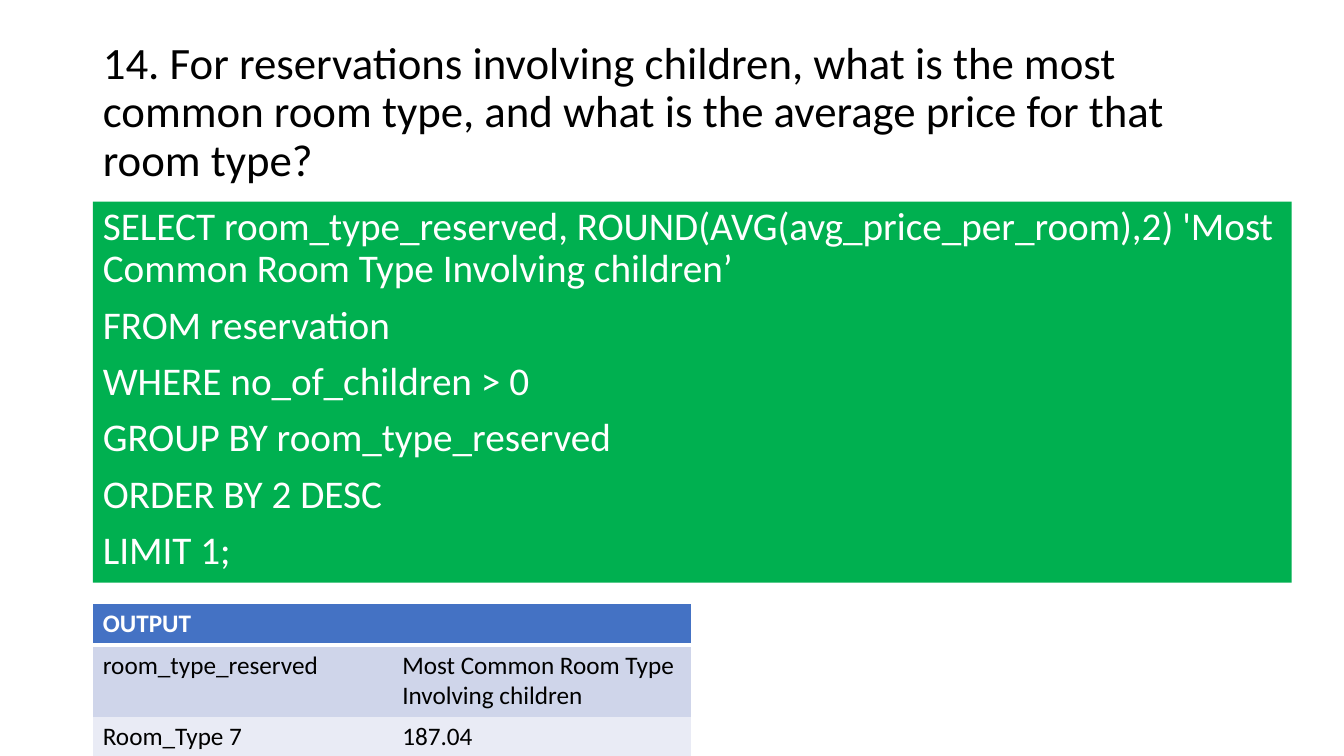
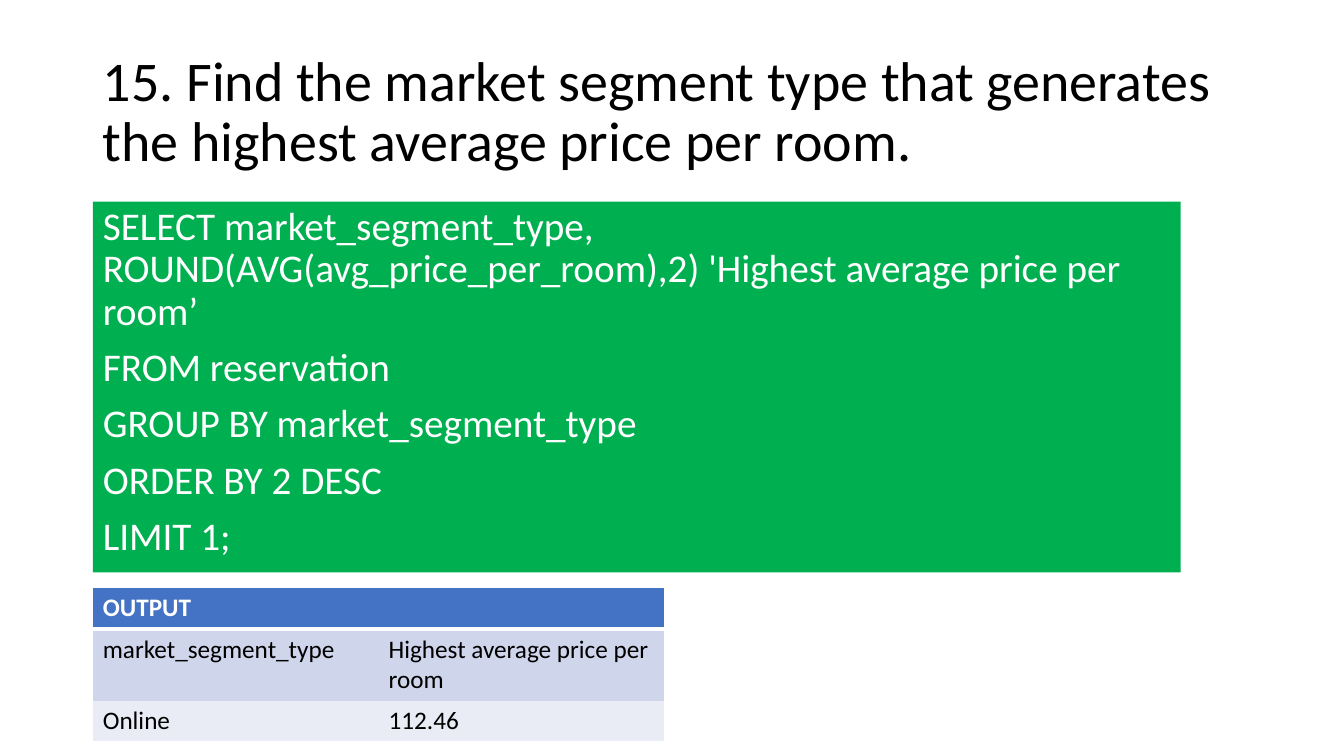
from lxml.etree import SubElement
from pptx import Presentation
from pptx.dml.color import RGBColor
from pptx.enum.text import MSO_ANCHOR as Anchor, MSO_AUTO_SIZE as AutoSize, PP_ALIGN as Align
from pptx.oxml.ns import qn
from pptx.util import Inches, Pt

FONT = "Calibri"
WHITE, BLACK, GREEN = "FFFFFF", "000000", "00B050"
ROW_FILLS = ["4472C4", "CFD5EA", "E9EBF5"]
ROW_HEIGHTS = [0.41, 0.7, 0.41]
LEFT = 0.92
TITLE_BOX = (LEFT, 0.4, 11.5, 1.45)

FRAME_FORMAT = {"word_wrap": True, "auto_size": AutoSize.NONE}
TITLE_FORMAT = {"alignment": Align.LEFT, "line_spacing": 0.9, "space_before": Pt(0)}
QUERY_FORMAT = {"alignment": Align.LEFT, "line_spacing": 0.9, "space_before": Pt(10)}

SLIDES = [
    {
        "title": "14. For reservations involving children, what is the most common room type, "
                 "and what is the average price for that room type?",
        "title_size": 32,
        "query": [
            "SELECT room_type_reserved, ROUND(AVG(avg_price_per_room),2) "
            "'Most Common Room Type Involving children’",
            "FROM reservation",
            "WHERE no_of_children > 0",
            "GROUP BY room_type_reserved",
            "ORDER BY 2 DESC",
            "LIMIT 1;",
        ],
        "query_box": (LEFT, 2, 11.89, 3.78),
        "output": [
            ["OUTPUT", ""],
            ["room_type_reserved", "Most Common Room Type Involving children"],
            ["Room_Type 7", "187.04"],
        ],
        "output_box": (LEFT, 5.99, 5.94, 1.51),
    },
    {
        "title": "15. Find the market segment type that generates the highest average price per room.",
        "title_size": 40,
        "query": [
            "SELECT market_segment_type, ROUND(AVG(avg_price_per_room),2) "
            "'Highest average price per room’",
            "FROM reservation",
            "GROUP BY market_segment_type",
            "ORDER BY 2 DESC",
            "LIMIT 1;",
        ],
        "query_box": (LEFT, 2, 10.79, 3.68),
        "output": [
            ["OUTPUT", ""],
            ["market_segment_type", "Highest average price per room"],
            ["Online", "112.46"],
        ],
        "output_box": (LEFT, 5.83, 5.67, 1.51),
    },
]


def apply_format(target, values):
    for name, value in values.items():
        setattr(target, name, value)


def set_font(font, size, color, bold=False):
    apply_format(font, {"name": FONT, "size": Pt(size), "bold": bold})
    font.color.rgb = RGBColor.from_string(color)


def set_fill(target, color):
    target.fill.solid()
    target.fill.fore_color.rgb = RGBColor.from_string(color)


def place(shape, box):
    apply_format(shape, dict(zip(("left", "top", "width", "height"), map(Inches, box))))


def fill_placeholder(shape, box, lines, size, color, anchor, paragraph_format):
    place(shape, box)
    frame = shape.text_frame
    frame.text = "\n".join(lines)
    apply_format(frame, {**FRAME_FORMAT, "vertical_anchor": anchor})
    for paragraph in frame.paragraphs:
        apply_format(paragraph, paragraph_format)
        set_font(paragraph.runs[0].font, size, color)


def add_title(slide, box, text, size):
    fill_placeholder(slide.shapes.title, box, [text], size, BLACK, Anchor.MIDDLE, TITLE_FORMAT)


def add_query(slide, box, lines):
    shape = slide.placeholders[1]
    fill_placeholder(shape, box, lines, 28, WHITE, Anchor.TOP, QUERY_FORMAT)
    set_fill(shape, GREEN)
    for paragraph in shape.text_frame.paragraphs:
        properties = paragraph._p.get_or_add_pPr()
        properties.set("marL", "0")
        properties.set("indent", "0")
        SubElement(properties, qn("a:buNone"))


def set_borders(cell, widths):
    properties = cell._tc.get_or_add_tcPr()
    for side, width in zip("LRTB", widths):
        line = SubElement(properties, qn(f"a:ln{side}"), w=str(Pt(width)))
        if width:
            fill = SubElement(line, qn("a:solidFill"))
            SubElement(fill, qn("a:srgbClr"), val=WHITE)
        else:
            SubElement(line, qn("a:noFill"))


def add_output(slide, box, rows):
    row_count, column_count = len(rows), len(rows[0])
    table = slide.shapes.add_table(row_count, column_count, *map(Inches, box)).table
    last_row, last_column = row_count - 1, column_count - 1
    for row_index, texts in enumerate(rows):
        table.rows[row_index].height = Inches(ROW_HEIGHTS[row_index])
        top = {0: 1, 1: 3}.get(row_index, 0)
        bottom = {0: 3, last_row: 1}.get(row_index, 0)
        for column_index, text in enumerate(texts):
            cell = table.cell(row_index, column_index)
            set_borders(cell, (int(column_index == 0), int(column_index == last_column), top, bottom))
            set_fill(cell, ROW_FILLS[row_index])
            cell.text = text
            header = row_index == 0
            set_font(cell.text_frame.paragraphs[0].font, 18, WHITE if header else BLACK, header)


def add_question_slide(presentation, content):
    slide = presentation.slides.add_slide(presentation.slide_layouts[1])
    add_title(slide, TITLE_BOX, content["title"], content["title_size"])
    add_query(slide, content["query_box"], content["query"])
    add_output(slide, content["output_box"], content["output"])


def main():
    presentation = Presentation()
    apply_format(presentation, {"slide_width": Inches(13.33), "slide_height": Inches(7.5)})
    for content in SLIDES:
        add_question_slide(presentation, content)
    presentation.save("out.pptx")


if __name__ == "__main__":
    main()
